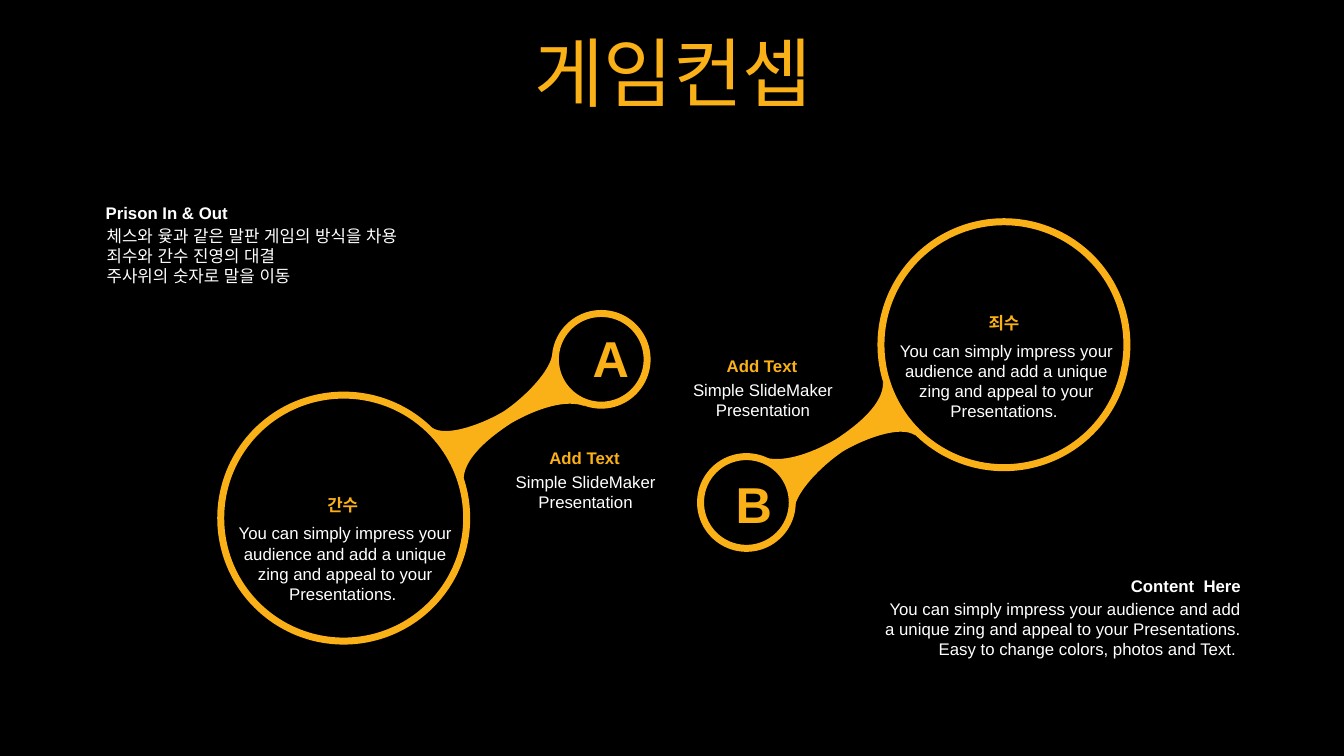
from dataclasses import dataclass

from lxml import etree
from pptx import Presentation, util as u
from pptx.dml.color import RGBColor
from pptx.enum import shapes, text
from pptx.oxml import ns


@dataclass(frozen=True)
class Theme:
    """Colours, font and type sizes of the deck."""
    ground: RGBColor = RGBColor.from_string("000000")
    accent: RGBColor = RGBColor.from_string("FAB117")
    ink: RGBColor = RGBColor.from_string("FFFFFF")
    font: str = "Arial"
    title: int = 54
    letter: int = 36
    body: int = 12
    ring: int = 5


def px(length):
    """Turn px, at 100 to the inch, into EMU."""
    return u.Emu(length * 9144)


class ConceptSlide:
    """Draws the elements of one slide in one theme."""

    def __init__(self, deck, theme):
        self.theme = theme
        self.slide = deck.slides.add_slide(deck.slide_layouts[5])
        fill = self.slide.background.fill
        fill.solid()
        fill.fore_color.rgb = theme.ground

    def style(self, paragraph, size, colour, bold=False, align=text.PP_ALIGN.CENTER):
        paragraph.alignment = align
        font = paragraph.font
        font.name, font.size, font.bold = self.theme.font, u.Pt(size), bold
        font.color.rgb = colour
        latin = next(paragraph._p.pPr.iter(ns.qn("a:latin")))
        east_asian = etree.Element(ns.qn("a:ea"), typeface=self.theme.font)
        latin.addnext(east_asian)

    def title(self, wording, left, top, width, height):
        heading = self.slide.shapes.title
        heading.left, heading.top = px(left), px(top)
        heading.width, heading.height = px(width), px(height)
        frame = heading.text_frame
        frame.text = wording
        frame.vertical_anchor = text.MSO_ANCHOR.MIDDLE
        frame.paragraphs[0].line_spacing = 0.9
        self.style(frame.paragraphs[0], self.theme.title, self.theme.accent)

    def label(self, lines, left, top, width, height, size, colour, bold=False,
              align=text.PP_ALIGN.CENTER):
        box = self.slide.shapes.add_textbox(px(left), px(top), px(width), px(height))
        frame = box.text_frame
        frame.word_wrap = True
        frame.auto_size = text.MSO_AUTO_SIZE.SHAPE_TO_FIT_TEXT
        frame.text = "\n".join(lines)
        for paragraph in frame.paragraphs:
            self.style(paragraph, size, colour, bold, align)

    def passage(self, heading, lines, left, top, width, height, colour,
                align=text.PP_ALIGN.CENTER, shift=1, trim=1, drop=24):
        size = self.theme.body
        self.label([heading], left, top, width, 30, size, colour, True, align)
        self.label(lines, left + shift, top + drop, width - trim, height, size,
                   self.theme.ink, align=align)

    def ring(self, left, top, diameter):
        circle = self.slide.shapes.add_shape(
            shapes.MSO_SHAPE.OVAL, px(left), px(top), px(diameter), px(diameter))
        circle.shadow.inherit = False
        circle.fill.background()
        circle.line.color.rgb = self.theme.accent
        circle.line.width = u.Pt(self.theme.ring)

    def neck(self, start, curves):
        builder = self.slide.shapes.build_freeform(px(start[0]), px(start[1]))
        builder.add_line_segments([(px(x), px(y)) for x, y in (c[-1] for c in curves)])
        bridge = builder.convert_to_shape()
        bridge.shadow.inherit = False
        bridge.fill.solid()
        bridge.fill.fore_color.rgb = self.theme.accent
        bridge.line.fill.background()
        segments = list(bridge._element.iter(ns.qn("a:lnTo")))
        for segment, curve in zip(segments, curves):
            if len(curve) == 3:
                bend = etree.Element(ns.qn("a:cubicBezTo"))
                for x, y in curve:
                    etree.SubElement(bend, ns.qn("a:pt"), x=str(px(x) - bridge.left),
                                     y=str(px(y) - bridge.top))
                segment.getparent().replace(segment, bend)


NECK_START = (548, 351)
NECK_CURVES = [
    [(550, 376), (560, 388), (580, 403)],
    [(562, 396), (533, 405), (507, 420)],
    [(484, 435), (459, 456), (460, 477)],
    [(428, 424)],
    [(443, 435), (482, 419), (500, 408)],
    [(522, 393), (546, 368), NECK_START],
]


def half_turn(point):
    """Turn a point half round the middle between the two pairs of rings."""
    return 1336 - point[0], 856 - point[1]


def main():
    """Build and save the slide."""
    deck = Presentation()
    deck.slide_width, deck.slide_height = u.Emu(12192000), px(750)
    theme = Theme()
    page = ConceptSlide(deck, theme)
    page.title("게임컨셉", 35, 37, 1266, 79)

    necks = ((NECK_START, NECK_CURVES),
             (half_turn(NECK_START),
              [[half_turn(point) for point in curve] for curve in NECK_CURVES]))
    rings = (((219, 392), (551, 311)), ((874, 220), (695, 453)))
    for (big, small), (start, curves) in zip(rings, necks):
        page.ring(*big, 244)
        page.ring(*small, 91)
        page.neck(start, curves)

    for letter, left, top in (("A", 578, 320), ("B", 720, 464)):
        page.label([letter], left, top, 41, 71, theme.letter, theme.accent, True)

    pitch = "You can simply impress your audience and add a unique zing and appeal to your Presentations. "
    for role, left, top in (("죄수", 870, 305), ("간수", 214, 486)):
        page.passage(role, [pitch], left, top, 252, 91, theme.accent,
                     shift=4, trim=3, drop=28)
    for left, top in ((486, 439), (662, 348)):
        page.passage("Add Text", ["Simple SlideMaker Presentation"],
                     left, top, 188, 50, theme.accent, trim=0)
    page.passage("Content  Here", [pitch + "Easy to change colors, photos and Text. "],
                 864, 566, 377, 71, theme.ink, text.PP_ALIGN.RIGHT, drop=23)
    page.passage("Prison In & Out",
                 ["체스와 윷과 같은 말판 게임의 방식을 차용",
                  "죄수와 간수 진영의 대결",
                  "주사위의 숫자로 말을 이동"],
                 95, 196, 377, 91, theme.ink, text.PP_ALIGN.LEFT, drop=23)
    deck.save("out.pptx")


if __name__ == "__main__":
    main()
